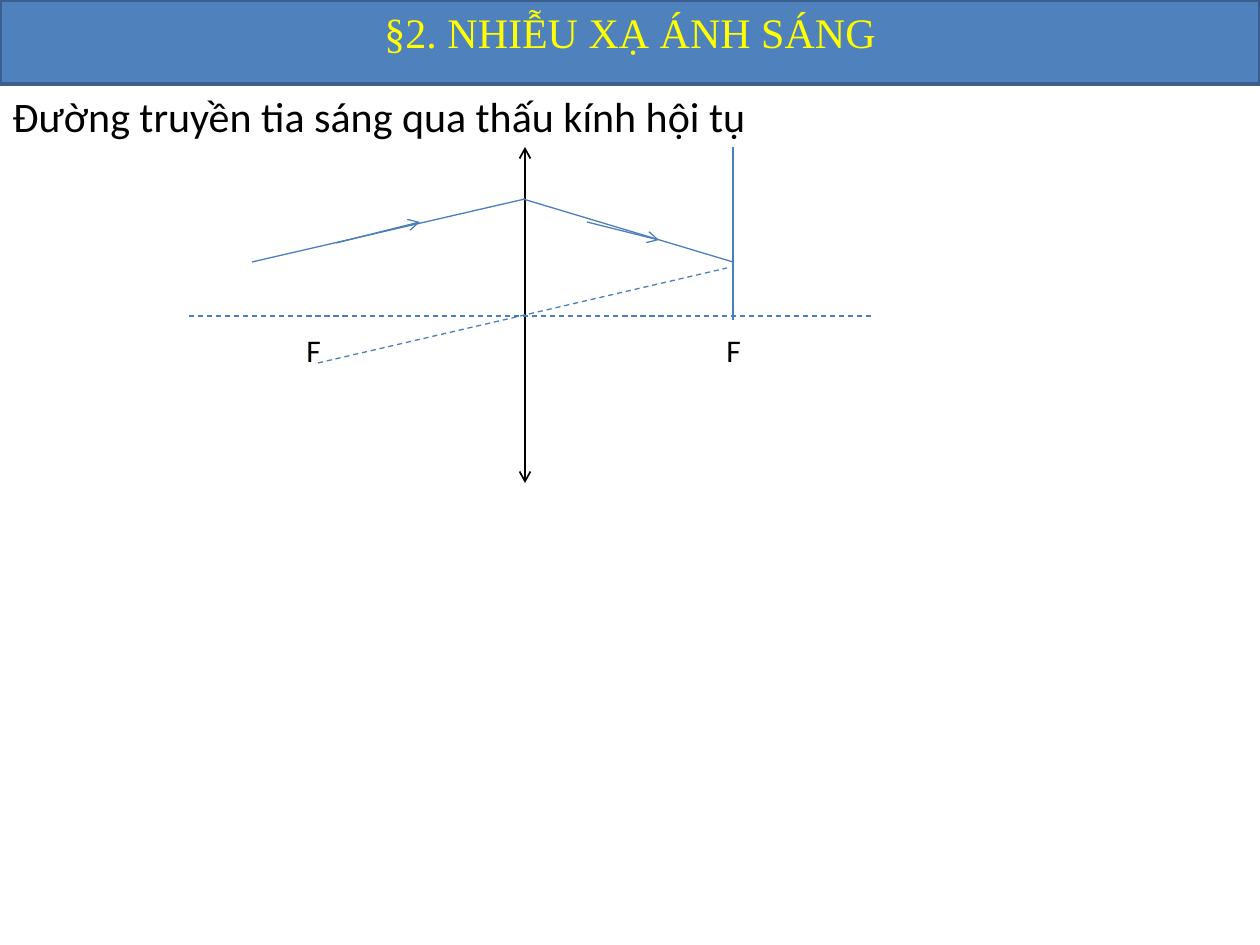
"""Build a slide showing a light ray passing through a converging lens."""
from dataclasses import dataclass

from lxml.etree import SubElement
from pptx import Presentation
from pptx.dml.color import RGBColor
from pptx.enum.dml import MSO_LINE_DASH_STYLE as Dash
from pptx.enum.shapes import MSO_CONNECTOR as Connector, MSO_SHAPE as Shape
from pptx.enum.text import MSO_ANCHOR as Anchor, MSO_AUTO_SIZE as AutoSize, PP_ALIGN as Align
from pptx.oxml.ns import qn
from pptx.util import Pt


@dataclass(frozen=True)
class Theme:
    banner: str = "4F81BD"
    banner_edge: str = "3A5F8C"
    title: str = "FFFF00"
    ink: str = "000000"
    ray: str = "4B7EBC"
    title_font: str = "Times New Roman"
    body_font: str = "Calibri"
    heading_size: int = 24
    label_size: int = 18
    banner_line: float = 2
    lens_line: float = 1
    ray_line: float = 0.75


THEME = Theme()
PX = 914400 / 126
SLIDE = (1260, 945)
BANNER = (0, 0, 1260, 84)
TITLE = ("§2. NHIỄU XẠ ÁNH SÁNG", (0, 0, 1260, 63))
HEADING = ("Đường truyền tia sáng qua thấu kính hội tụ", (0, 84, 914, 63))
FOCUS_LABELS = [("F", (294, 325, 53, 50)), ("F", (714, 325, 53, 50))]

LENS = ((525, 147), (525, 483))
DASHED_LINES = [((189, 316), (872, 316)), ((318, 363), (727, 268))]
SOLID_LINES = [
    ((252, 262), (525, 199)),
    ((733, 147), (733, 320)),
    ((523, 199), (733, 262)),
]
RAY_ARROWS = [((336, 243), (420, 222)), ((587, 222), (659, 240))]


def emu(values):
    return [round(value * PX) for value in values]


def color(value):
    return RGBColor.from_string(value)


def write(box, text, size, font, ink, align=Align.LEFT):
    frame = box.text_frame
    frame.word_wrap = True
    frame.auto_size = AutoSize.SHAPE_TO_FIT_TEXT
    frame.vertical_anchor = Anchor.TOP
    frame.text = text
    para = frame.paragraphs[0]
    para.alignment = align
    span = para.runs[0]
    span.font.size = Pt(size)
    span.font.name = font
    span.font.color.rgb = color(ink)


def add_label(page, text, place, size):
    box = page.shapes.add_textbox(*emu(place))
    write(box, text, size, THEME.body_font, THEME.ink)


def add_line(page, ends, ink=THEME.ray, width=THEME.ray_line, dash=None, arrows=()):
    start, stop = ends
    line = page.shapes.add_connector(Connector.STRAIGHT, *emu(start + stop))
    line.line.color.rgb = color(ink)
    line.line.width = Pt(width)
    if dash:
        line.line.dash_style = dash
    outline = line.line._get_or_add_ln()
    for arrow in arrows:
        SubElement(outline, qn(f"a:{arrow}"), type="arrow")
    SubElement(line._element.spPr, qn("a:effectLst"))


def add_banner(page):
    banner = page.shapes.add_shape(Shape.RECTANGLE, *emu(BANNER))
    banner.shadow.inherit = False
    banner.fill.solid()
    banner.fill.fore_color.rgb = color(THEME.banner)
    banner.line.color.rgb = color(THEME.banner_edge)
    banner.line.width = Pt(THEME.banner_line)
    page.shapes._spTree.insert(2, banner._element)


def add_title(page):
    text, place = TITLE
    title = page.shapes.title
    title.left, title.top, title.width, title.height = emu(place)
    write(title, text, THEME.heading_size, THEME.title_font, THEME.title, Align.CENTER)


def main():
    deck = Presentation()
    deck.slide_width, deck.slide_height = emu(SLIDE)
    page = deck.slides.add_slide(deck.slide_layouts[5])
    add_banner(page)
    add_title(page)
    add_label(page, *HEADING, THEME.heading_size)
    add_line(page, LENS, THEME.ink, THEME.lens_line, arrows=("headEnd", "tailEnd"))
    for ends in DASHED_LINES:
        add_line(page, ends, dash=Dash.DASH)
    for ends in SOLID_LINES:
        add_line(page, ends)
    for ends in RAY_ARROWS:
        add_line(page, ends, arrows=("tailEnd",))
    for text, place in FOCUS_LABELS:
        add_label(page, text, place, THEME.label_size)
    deck.save("out.pptx")


if __name__ == "__main__":
    main()
